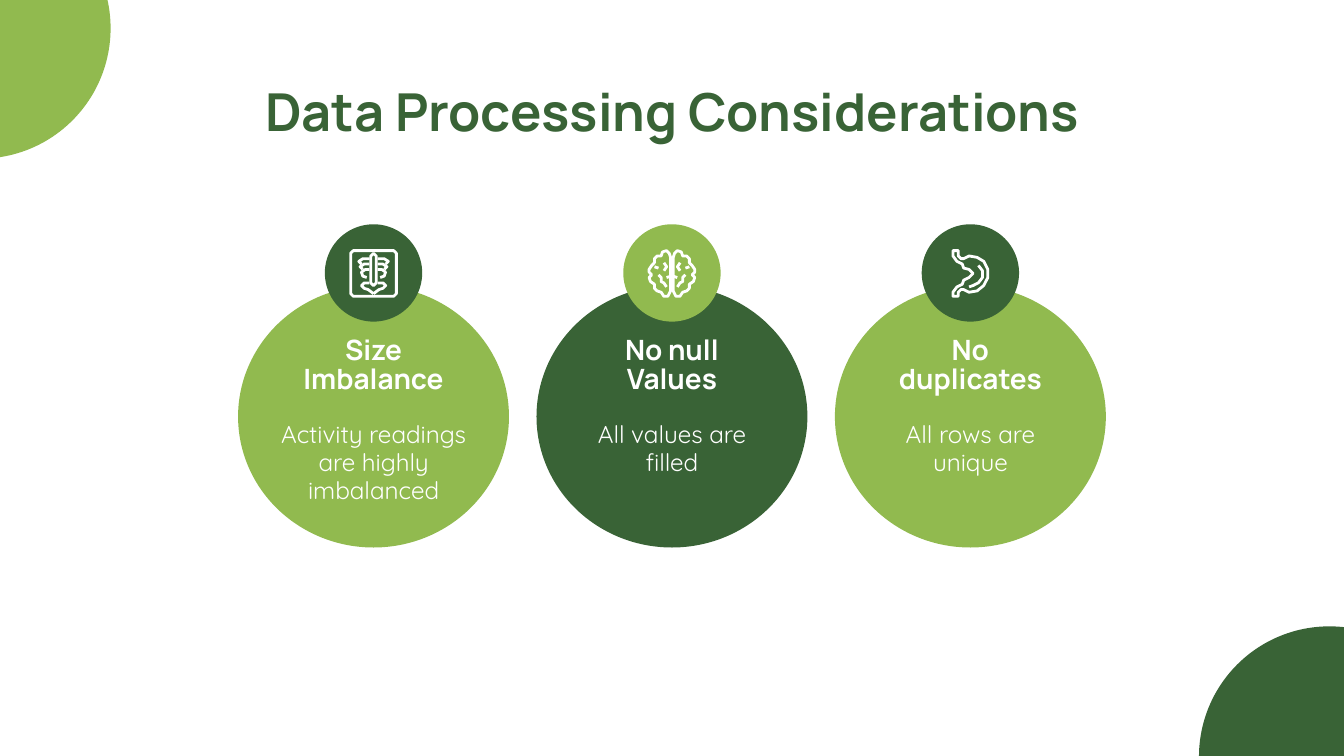
from pptx import Presentation
from pptx.dml.color import RGBColor
from pptx.enum.shapes import MSO_SHAPE
from pptx.enum.text import MSO_ANCHOR, PP_ALIGN
from pptx.util import Cm, Pt

LIGHT_GREEN = RGBColor(0x91, 0xBA, 0x4F)
DARK_GREEN = RGBColor(0x39, 0x63, 0x36)
WHITE = RGBColor(0xFF, 0xFF, 0xFF)

TITLE = {"name": "Manrope", "size": Pt(28), "bold": True}
HEADING = {"name": "Manrope", "size": Pt(15), "bold": True}
BODY = {"name": "Quicksand", "size": Pt(13), "bold": False}

presentation = Presentation()
presentation.slide_width = Cm(25.4)
presentation.slide_height = Cm(14.29)
slide = presentation.slides.add_slide(presentation.slide_layouts[6])


def add_circle(left, top, width, height, color):
    circle = slide.shapes.add_shape(
        MSO_SHAPE.OVAL, Cm(left), Cm(top), Cm(width), Cm(height))
    circle.shadow.inherit = False
    circle.fill.solid()
    circle.fill.fore_color.rgb = color
    circle.line.fill.background()


def add_text(center, top, width, height, lines, font_format, color, spacing):
    box = slide.shapes.add_textbox(
        Cm(center - width / 2), Cm(top), Cm(width), Cm(height))
    frame = box.text_frame
    frame_format = {"word_wrap": True, "vertical_anchor": MSO_ANCHOR.TOP,
                    "margin_left": Cm(0.25), "margin_right": Cm(0.25),
                    "margin_top": Cm(0.25), "margin_bottom": Cm(0.25)}
    for name, value in frame_format.items():
        setattr(frame, name, value)
    frame.text = "\n".join(lines)
    for paragraph in frame.paragraphs:
        paragraph.alignment = PP_ALIGN.CENTER
        paragraph.line_spacing = spacing
        for name, value in font_format.items():
            setattr(paragraph.font, name, value)
        paragraph.font.color.rgb = color


rib_frame = [(-17, -15), (-15, -17), (15, -17), (17, -15),
             (17, 15), (15, 17), (-15, 17), (-17, 15), (-17, -15)]
spine = [(-2, 7), (-2, -13), (0, -15), (2, -13), (2, 7), (0, 9), (-2, 7)]
rib_half = [
    [(3, -11), (8, -11), (11, -9), (9, -7)],
    [(3, -7), (7, -7), (10, -5), (8, -3)],
    [(3, -3), (6, -3), (9, -1), (8, 2), (5, 3)],
    [(3, 7), (7, 7), (9, 9), (7, 11), (4, 12), (0, 15)],
]
brain_half = [
    [(1, 13), (1, -12), (2, -15), (4, -17), (7, -16), (8, -13), (11, -13),
     (13, -11), (13, -8), (15, -6), (17, -3), (17, -1), (15, 1), (17, 3),
     (16, 6), (13, 8), (13, 11), (11, 13), (8, 14), (6, 17), (3, 17), (1, 13)],
    [(6, -8), (4, -5), (6, -2)],
    [(1, 2), (4, 3)],
    [(4, 10), (6, 7), (8, 6), (8, 3), (10, 1)],
    [(13, -5), (10, -4)],
]
stomach = [
    [(-13, -17), (-13, -13), (-10, -9), (-6, -7), (-5, -4), (-1, -3), (2, 0),
     (-1, 3), (-5, 5), (-6, 8), (-10, 10), (-13, 14), (-13, 17), (-9, 17),
     (-9, 14), (-7, 12), (-5, 12), (-1, 14), (5, 13), (10, 9), (13, 3),
     (13, -3), (10, -9), (5, -12), (-1, -13), (-5, -11), (-7, -11),
     (-9, -13), (-9, -17), (-13, -17)],
    [(6, -6), (9, -2), (9, 3), (6, 7), (2, 9), (-1, 10)],
]
rib_mirror, brain_mirror = [
    [[(-x, y) for x, y in stroke] for stroke in half]
    for half in (rib_half, brain_half)]

cards = [
    (["Size Imbalance"], 3.91, ["Activity readings are highly imbalanced"], 4.78,
     LIGHT_GREEN, DARK_GREEN, [rib_frame, spine] + rib_half + rib_mirror),
    (["No null", "Values"], 4.52, ["All values are filled"], 4.29,
     DARK_GREEN, LIGHT_GREEN, brain_half + brain_mirror),
    (["No duplicates"], 3.91, ["All rows are unique"], 4.29,
     LIGHT_GREEN, DARK_GREEN, stomach),
]

add_circle(-2.84, -1.93, 4.93, 4.93, LIGHT_GREEN)
add_circle(22.66, 11.84, 4.93, 4.93, DARK_GREEN)
add_text(12.7, 1.24, 23.67, 1.6, ["Data Processing Considerations"],
         TITLE, DARK_GREEN, 1.0)

for index, card in enumerate(cards):
    heading, heading_width, body, body_width, color, badge_color, icon = card
    center = 12.7 + (index - 1) * 5.64
    add_circle(center - 2.56, 5.4, 5.12, 4.95, color)
    add_circle(center - 0.92, 4.24, 1.84, 1.84, badge_color)
    for stroke in icon:
        builder = slide.shapes.build_freeform(*stroke[0], scale=Cm(2.54) / 100)
        builder.add_line_segments(stroke[1:], close=stroke[0] == stroke[-1])
        outline = builder.convert_to_shape(Cm(center), Cm(5.17))
        outline.shadow.inherit = False
        outline.fill.background()
        outline.line.color.rgb = WHITE
        outline.line.width = Pt(1.5)
    add_text(center, 6.12, heading_width, 1.19, heading, HEADING, WHITE, 0.87)
    add_text(center, 7.72, body_width, 1.68, body, BODY, WHITE, 0.96)

presentation.save("out.pptx")
